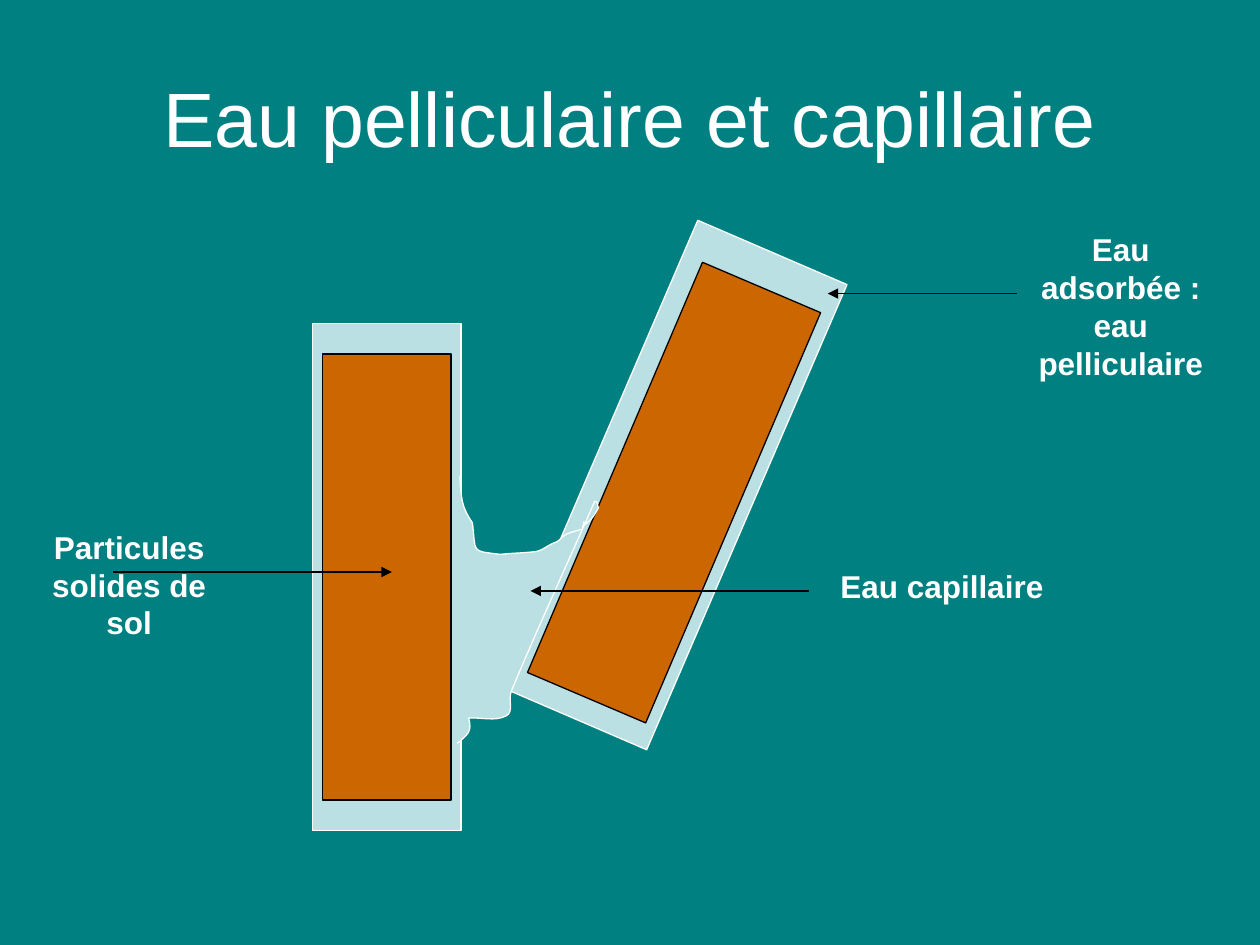
from lxml import etree
from pptx import Presentation
from pptx.dml.color import RGBColor
from pptx.enum.shapes import MSO_CONNECTOR, MSO_SHAPE
from pptx.enum.text import MSO_ANCHOR, PP_ALIGN
from pptx.oxml.ns import qn
from pptx.util import Inches, Pt

RECT = MSO_SHAPE.RECTANGLE
LINE = MSO_CONNECTOR.STRAIGHT
TOP, MIDDLE = MSO_ANCHOR.TOP, MSO_ANCHOR.MIDDLE
CENTER = PP_ALIGN.CENTER

COLORS = {
    "back": "008080",
    "water": "BBE0E3",
    "soil": "CC6600",
    "white": "FFFFFF",
    "black": "000000",
}
FONT = "Arial"
STEPS = 8

START = (3.65, 3.78)
CURVES = [
    ((3.66, 3.95), (3.66, 4.02), (3.75, 4.15)),
    ((3.78, 4.39), (3.73, 4.37), (3.97, 4.4)),
    ((4.06, 4.39), (4.14, 4.39), (4.23, 4.38)),
    ((4.3, 4.38), (4.35, 4.32), (4.42, 4.3)),
    ((4.45, 4.28), (4.48, 4.24), (4.52, 4.23)),
    ((4.55, 4.22), (4.62, 4.2), (4.62, 4.2)),
    ((4.66, 4.06), (4.59, 4.23), (4.68, 4.13)),
    ((4.71, 4.11), (4.75, 4.03), (4.75, 4.03)),
    ((4.73, 3.98), (4.75, 3.98), (4.72, 3.98)),
    ((4.5, 4.48), (4.27, 4.98), (4.06, 5.48)),
    ((4.03, 5.55), (4.08, 5.65), (4.02, 5.68)),
    ((3.93, 5.73), (3.82, 5.69), (3.72, 5.7)),
    ((3.75, 5.81), (3.71, 5.83), (3.63, 5.9)),
]


def color(name):
    return RGBColor.from_string(COLORS[name])


def trace(start, curves):
    dots = [start]
    for a, b, end in curves:
        first = dots[-1]
        for step in range(1, STEPS + 1):
            t = step / STEPS
            u = 1 - t
            dots.append(tuple(
                u**3 * p + 3 * u * u * t * q + 3 * u * t * t * r + t**3 * s
                for p, q, r, s in zip(first, a, b, end)
            ))
    return [(Inches(x), Inches(y)) for x, y in dots]


def write(frame, text, size=18, bold=True, anchor=TOP, before=9):
    frame.word_wrap = True
    frame.vertical_anchor = anchor
    para = frame.paragraphs[0]
    para.alignment = CENTER
    para.space_before = Pt(before)
    run = para.add_run()
    run.text = text
    run.font.name = FONT
    run.font.size = Pt(size)
    run.font.bold = bold
    run.font.color.rgb = color("white")


class Board:
    def __init__(self, slide):
        self.slide = slide
        self.shapes = slide.shapes
        slide.background.fill.solid()
        slide.background.fill.fore_color.rgb = color("back")

    def paint(self, shape, fill, line):
        shape.shadow.inherit = False
        shape.fill.solid()
        shape.fill.fore_color.rgb = color(fill)
        shape.line.color.rgb = color(line)
        shape.line.width = Pt(0.75)

    def block(self, box, fill, line, turn=0):
        shape = self.shapes.add_shape(RECT, *map(Inches, box))
        shape.rotation = turn
        self.paint(shape, fill, line)

    def pool(self, start, curves, fill, line):
        first, *rest = trace(start, curves)
        pen = self.shapes.build_freeform(*first)
        pen.add_line_segments(rest, close=False)
        self.paint(pen.convert_to_shape(), fill, line)

    def arrow(self, tail, tip, y):
        link = self.shapes.add_connector(LINE, *map(Inches, (tail, y, tip, y)))
        link.line.color.rgb = color("black")
        link.line.width = Pt(0.75)
        props = link._element.spPr
        etree.SubElement(props.find(qn("a:ln")), qn("a:tailEnd"), type="triangle")
        etree.SubElement(props, qn("a:effectLst"))

    def label(self, box, text, **style):
        shape = self.shapes.add_textbox(*map(Inches, box))
        write(shape.text_frame, text, **style)


def main():
    deck = Presentation()
    deck.slide_width, deck.slide_height = Inches(10), Inches(7.5)
    board = Board(deck.slides.add_slide(deck.slide_layouts[6]))

    board.block((4.69, 1.84, 1.29, 4.02), "water", "white", turn=23.3)
    board.block((2.48, 2.57, 1.18, 4.02), "water", "white")
    board.label((0.5, 0.3, 9, 1.25), "Eau pelliculaire et capillaire",
                size=44, bold=False, anchor=MIDDLE, before=0)
    board.block((2.56, 2.81, 1.02, 3.54), "soil", "black")
    board.block((4.84, 2.14, 1.02, 3.54), "soil", "black", turn=23.1)
    board.arrow(8.07, 6.57, 2.33)
    board.label((7.99, 1.78, 1.81, 1.3), "Eau adsorbée : eau pelliculaire")
    board.pool(START, CURVES, "water", "white")
    board.arrow(6.42, 4.21, 4.69)
    board.label((6.57, 4.45, 1.81, 0.4), "Eau capillaire")
    board.arrow(0.9, 3.11, 4.54)
    board.label((0.12, 4.14, 1.81, 1), "Particules solides de sol")

    deck.save("out.pptx")


if __name__ == "__main__":
    main()
